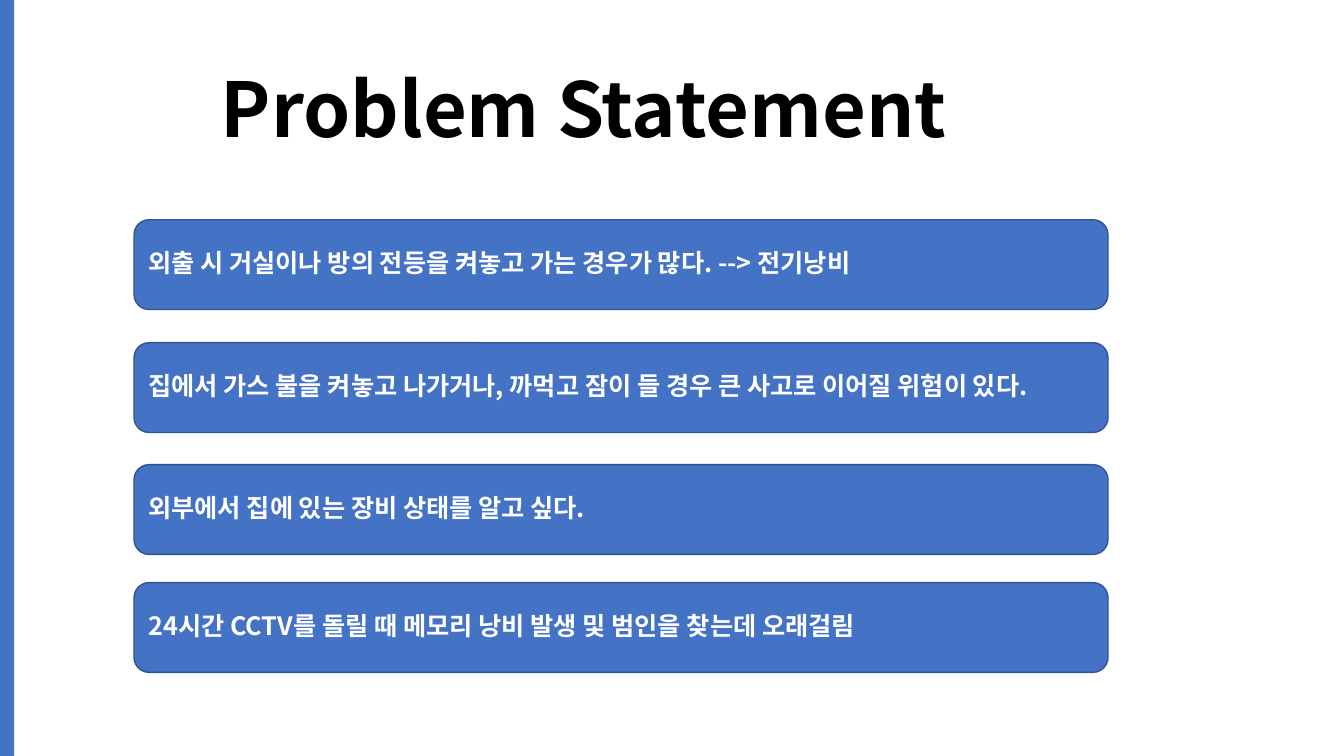
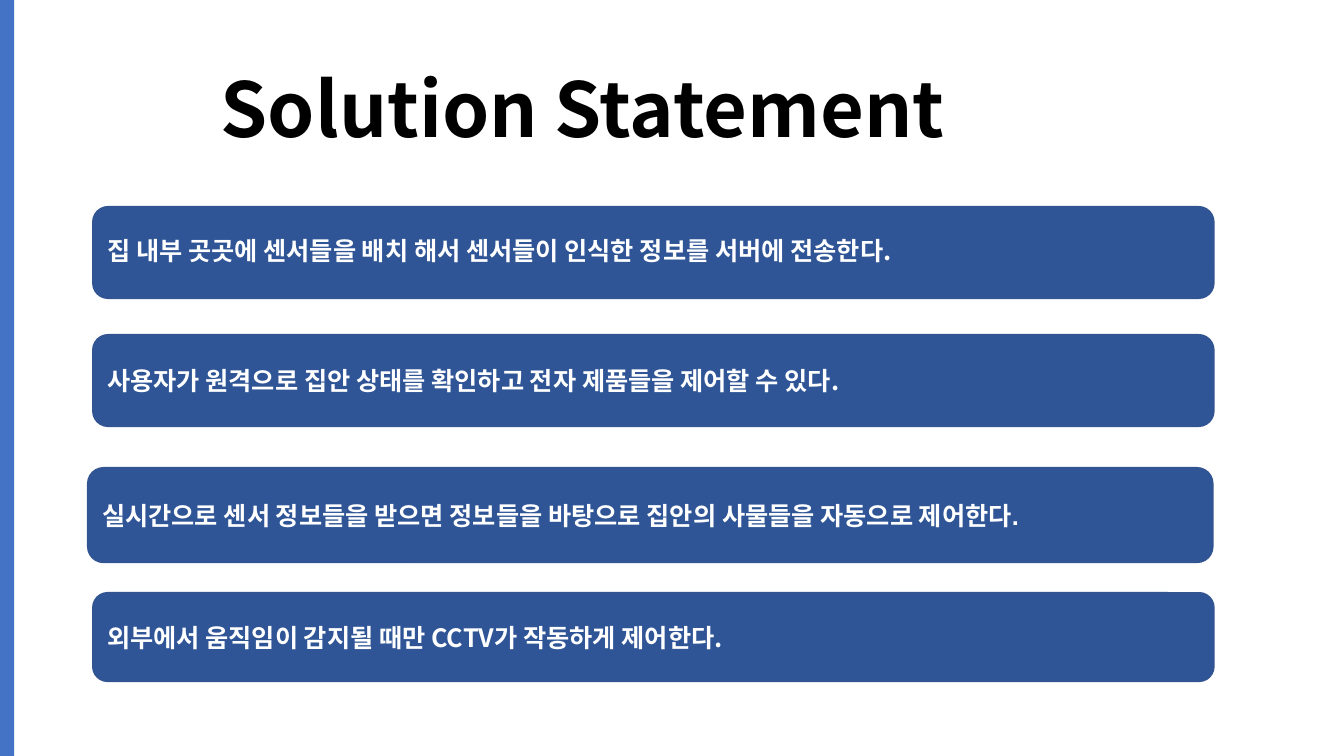
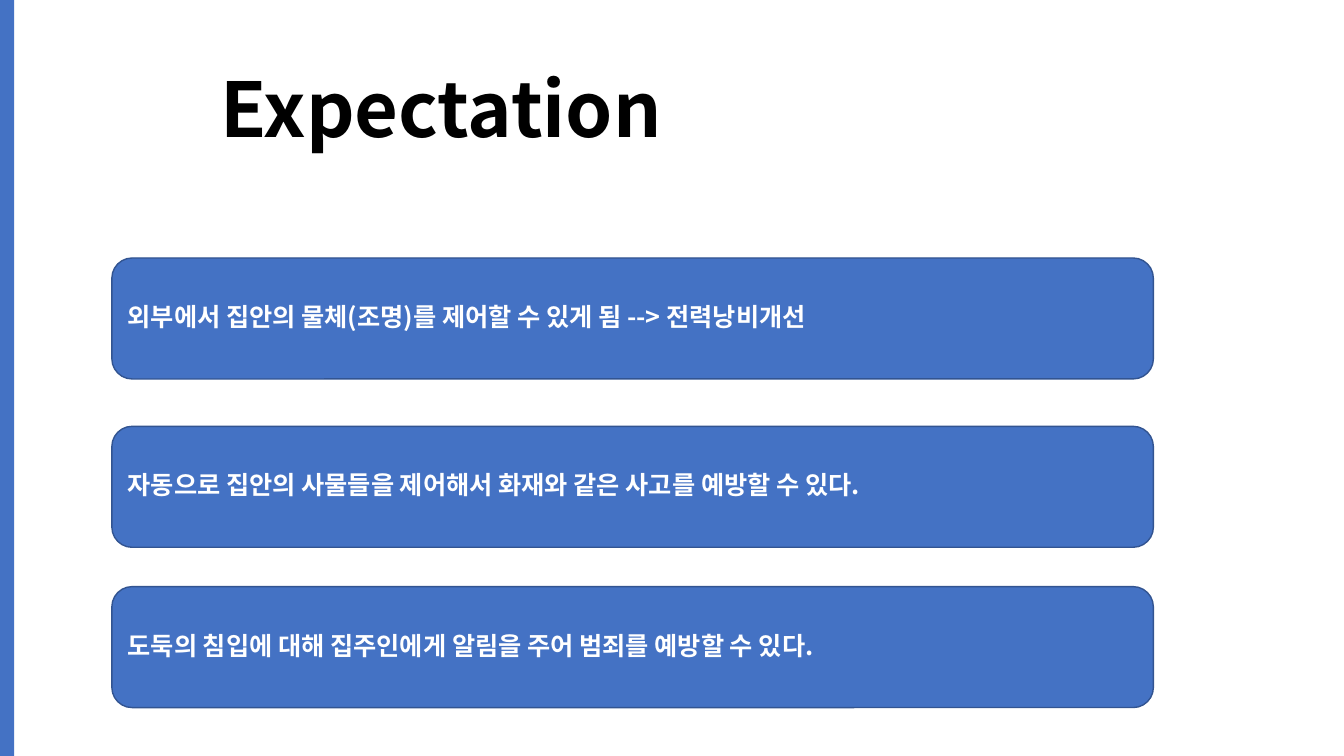
from dataclasses import dataclass

import lxml.etree
import pptx
import pptx.dml.color
import pptx.enum.shapes
import pptx.enum.text
import pptx.oxml.ns
import pptx.presentation
import pptx.shapes.autoshape
import pptx.slide
import pptx.util
from pptx.util import Inches


@dataclass(frozen=True)
class Theme:
    blue: str = "4472C4"
    navy: str = "2F5597"
    outline: str = "325491"
    black: str = "000000"
    white: str = "FFFFFF"
    font: str = "Noto Sans CJK KR"
    latin_font: str = "Arial"
    title_size: int = 54
    card_size: int = 18
    tight: float = 0.9


THEME = Theme()


@dataclass(frozen=True)
class Frame:
    left: float
    top: float
    width: float
    height: float


@dataclass(frozen=True)
class Card:
    text: str
    frame: Frame
    spacing: float = THEME.tight
    font: str = THEME.font


@dataclass(frozen=True)
class Topic:
    title: str
    fill: str
    cards: tuple[Card, ...]


TITLE_FRAME = Frame(2.09, 0.4, 10.32, 1.45)
BAND_FRAME = Frame(0, 0, 0.14, 7.5)

TOPICS = (
    Topic("Problem Statement", THEME.blue, tuple(
        Card(text, Frame(1.33, top, 9.66, 0.89))
        for top, text in (
            (2.18, "외출 시 거실이나 방의 전등을 켜놓고 가는 경우가 많다. --> 전기낭비"),
            (3.4, "집에서 가스 불을 켜놓고 나가거나, 까먹고 잠이 들 경우 큰 사고로 이어질 위험이 있다."),
            (4.61, "외부에서 집에 있는 장비 상태를 알고 싶다."),
            (5.78, "24시간 CCTV를 돌릴 때 메모리 낭비 발생 및 범인을 찾는데 오래걸림"),
        )
    )),
    Topic("Solution Statement", THEME.navy, (
        Card("집 내부 곳곳에 센서들을 배치 해서 센서들이 인식한 정보를 서버에 전송한다.",
             Frame(0.92, 2.05, 11.12, 0.91)),
        Card("사용자가 원격으로 집안 상태를 확인하고 전자 제품들을 제어할 수 있다.",
             Frame(0.92, 3.32, 11.12, 0.91), spacing=1.0),
        Card("실시간으로 센서 정보들을 받으면 정보들을 바탕으로 집안의 사물들을 자동으로 제어한다.",
             Frame(0.87, 4.64, 11.16, 0.94), spacing=1.0, font=THEME.latin_font),
        Card("외부에서 움직임이 감지될 때만 CCTV가 작동하게 제어한다.",
             Frame(0.92, 5.88, 11.12, 0.88), spacing=1.0),
    )),
    Topic("Expectation", THEME.blue, tuple(
        Card(text, Frame(1.11, top, 10.33, 1.2))
        for top, text in (
            (2.56, "외부에서 집안의 물체(조명)를 제어할 수 있게 됨 --> 전력낭비개선"),
            (4.23, "자동으로 집안의 사물들을 제어해서 화재와 같은 사고를 예방할 수 있다."),
            (5.82, "도둑의 침입에 대해 집주인에게 알림을 주어 범죄를 예방할 수 있다."),
        )
    )),
)


def color(value: str) -> pptx.dml.color.RGBColor:
    return pptx.dml.color.RGBColor.from_string(value)


def place(frame: Frame) -> tuple[pptx.util.Length, ...]:
    return (Inches(frame.left), Inches(frame.top),
            Inches(frame.width), Inches(frame.height))


def write_text(box: pptx.shapes.autoshape.Shape, text: str, *, size: int, ink: str,
               font: str = THEME.font, spacing: float = THEME.tight) -> None:
    frame = box.text_frame
    frame.word_wrap = True
    frame.vertical_anchor = pptx.enum.text.MSO_ANCHOR.MIDDLE
    para = frame.paragraphs[0]
    para.alignment = pptx.enum.text.PP_ALIGN.LEFT
    para.line_spacing = spacing
    span = para.add_run()
    span.text = text
    span.font.size = pptx.util.Pt(size)
    span.font.bold = True
    span.font.color.rgb = color(ink)
    span.font.name = font
    east_asian = lxml.etree.SubElement(span._r.get_or_add_rPr(), pptx.oxml.ns.qn("a:ea"))
    east_asian.set("typeface", THEME.font)


def add_panel(page: pptx.slide.Slide, kind: pptx.enum.shapes.MSO_SHAPE, frame: Frame,
              fill: str, outline: str | None = None) -> pptx.shapes.autoshape.Shape:
    panel = page.shapes.add_shape(kind, *place(frame))
    panel.shadow.inherit = False
    panel.fill.solid()
    panel.fill.fore_color.rgb = color(fill)
    if outline is None:
        panel.line.fill.background()
    else:
        panel.line.color.rgb = color(outline)
        panel.line.width = pptx.util.Pt(1)
    return panel


def add_page(deck: pptx.presentation.Presentation, topic: Topic) -> None:
    shapes = pptx.enum.shapes.MSO_SHAPE
    page = deck.slides.add_slide(deck.slide_layouts[6])
    title = page.shapes.add_textbox(*place(TITLE_FRAME))
    write_text(title, topic.title, size=THEME.title_size, ink=THEME.black)
    add_panel(page, shapes.RECTANGLE, BAND_FRAME, THEME.blue)
    for card in topic.cards:
        panel = add_panel(page, shapes.ROUNDED_RECTANGLE, card.frame, topic.fill, THEME.outline)
        write_text(panel, card.text, size=THEME.card_size, ink=THEME.white,
                   font=card.font, spacing=card.spacing)


def main() -> None:
    deck = pptx.Presentation()
    deck.slide_width = Inches(13.33)
    deck.slide_height = Inches(7.5)
    for topic in TOPICS:
        add_page(deck, topic)
    deck.save("out.pptx")


if __name__ == "__main__":
    main()
